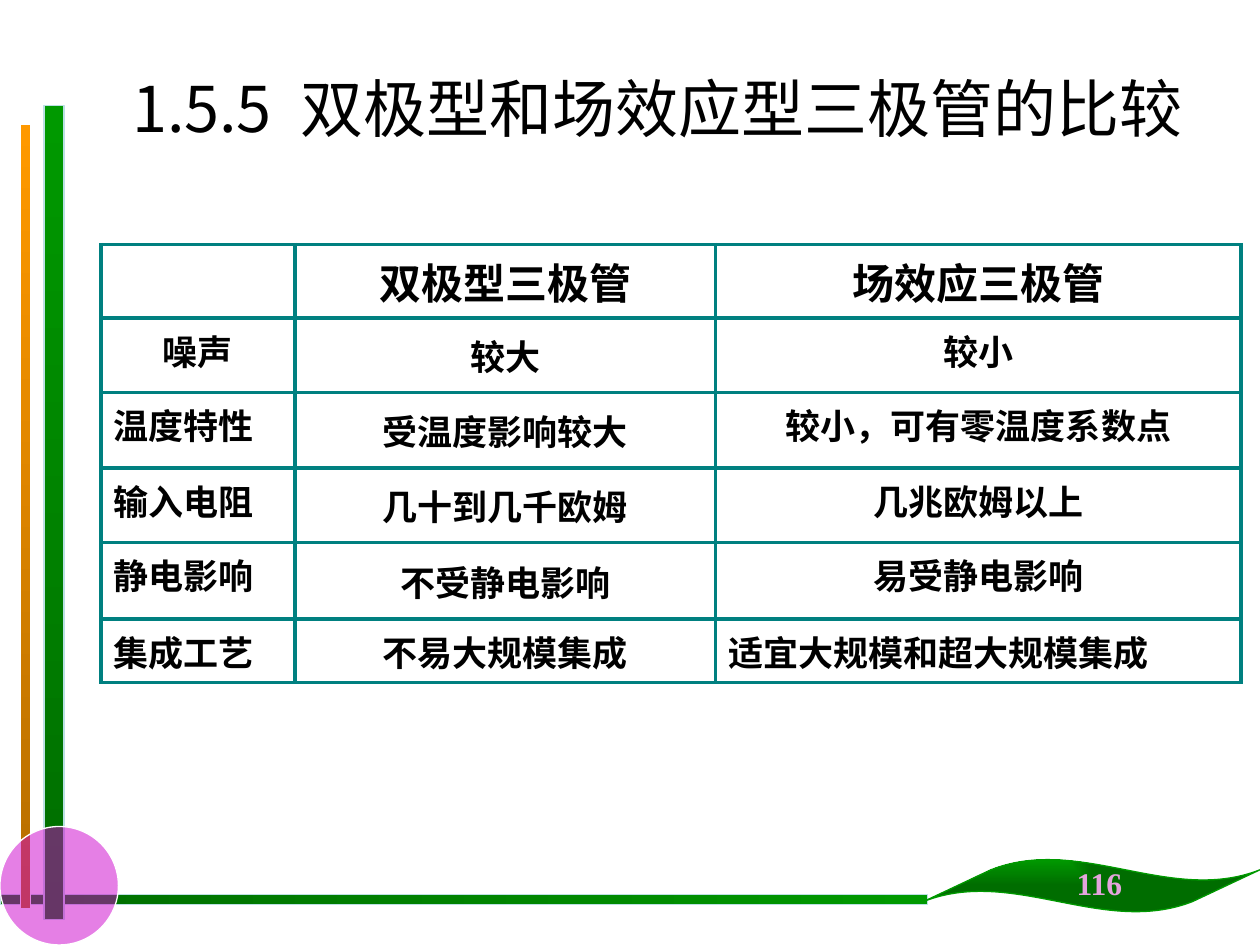
from lxml import etree
from pptx import Presentation
from pptx.dml.color import RGBColor
from pptx.enum.shapes import MSO_SHAPE
from pptx.enum.text import MSO_ANCHOR, PP_ALIGN
from pptx.oxml.ns import qn
from pptx.util import Pt

RECTANGLE, OVAL, WAVE = MSO_SHAPE.RECTANGLE, MSO_SHAPE.OVAL, MSO_SHAPE.WAVE
LEFT, CENTER = PP_ALIGN.LEFT, PP_ALIGN.CENTER
TOP, MIDDLE = MSO_ANCHOR.TOP, MSO_ANCHOR.MIDDLE
CHINESE_FONT = "Noto Sans CJK SC"

COLORS = {
    "text": "000000", "border": "008080", "green": "009900",
    "dark_green": "006D00", "orange": "FF9900", "brown": "B66D00",
    "magenta": "CC00CC", "pale_blue": "BBE0E3", "white": "FFFFFF",
    "number": "E4A4DC",
}
COLUMN_WIDTHS = [110.9, 240.5, 300.2]
ROW_HEIGHTS = [41.3, 42.5, 43.2, 42.5, 43.9, 36]
ROWS = [
    ["", "双极型三极管", "场效应三极管"],
    ["噪声", "较大", "较小"],
    ["温度特性", "受温度影响较大", "较小，可有零温度系数点"],
    ["输入电阻", "几十到几千欧姆", "几兆欧姆以上"],
    ["静电影响", "不受静电影响", "易受静电影响"],
    ["集成工艺", "不易大规模集成", "适宜大规模和超大规模集成"],
]
LEFT_ALIGNED = {(2, 0), (3, 0), (4, 0), (5, 0), (5, 2)}


def color(name):
    return RGBColor.from_string(COLORS[name])


def add_element(parent, tag, **attributes):
    return etree.SubElement(parent, qn(tag), attributes)


def add_outlined_shape(slide, kind, box, line, line_width=0.75):
    shape = slide.shapes.add_shape(kind, *map(Pt, box))
    shape.shadow.inherit = False
    shape.line.color.rgb = color(line)
    shape.line.width = Pt(line_width)
    return shape


def fill_gradient(shape, start, end, angle=0):
    """Blend two colours; the angle runs counter-clockwise."""
    shape.fill.gradient()
    shape.fill.gradient_angle = angle
    for stop, name, position in zip(shape.fill.gradient_stops, (start, end), (0, 1)):
        stop.color.rgb = color(name)
        stop.position = position


def add_bar(slide, box, colors, angle, line="pale_blue", line_width=0.75):
    bar = add_outlined_shape(slide, RECTANGLE, box, line, line_width)
    fill_gradient(bar, *colors, angle)


def add_translucent_circle(slide, box):
    circle = add_outlined_shape(slide, OVAL, box, "white")
    circle.fill.solid()
    circle.fill.fore_color.rgb = color("magenta")
    fill_color = circle.fill._xPr.find(qn("a:solidFill"))[0]
    add_element(fill_color, "a:alpha", val="50000")


def add_leaf(slide, box):
    """Wave whose gradient spreads from its top left corner."""
    leaf = add_outlined_shape(slide, WAVE, box, "green")
    leaf.adjustments[0], leaf.adjustments[1] = 0.206, -0.1
    fill_gradient(leaf, "green", "dark_green")
    gradient = leaf.fill._xPr.find(qn("a:gradFill"))
    linear = gradient.find(qn("a:lin"))
    shade = add_element(gradient, "a:path", path="rect")
    add_element(shade, "a:fillToRect", r="100000", b="100000")
    gradient.replace(linear, shade)


def style_paragraph(paragraph, size, font, bold, alignment, name="text"):
    paragraph.alignment = alignment
    paragraph.font.size = Pt(size)
    paragraph.font.bold = bold
    paragraph.font.name = font
    paragraph.font.color.rgb = color(name)
    add_element(paragraph.font._rPr, "a:ea", typeface=CHINESE_FONT)


def add_text_box(slide, box, wrap):
    frame = slide.shapes.add_textbox(*map(Pt, box)).text_frame
    frame.word_wrap = wrap
    frame.vertical_anchor = MIDDLE
    return frame.paragraphs[0]


def add_title(slide):
    paragraph = add_text_box(slide, (68.4, 36.7, 625, 49), True)
    for text in ("1.5.5", " ", "双极型和场效应型三极管的比较"):
        run = paragraph.add_run()
        run.text = text
        if text == " ":
            run._r.get_or_add_rPr().set("spc", "800")
    style_paragraph(paragraph, 36, CHINESE_FONT, False, LEFT)


def add_slide_number(slide):
    paragraph = add_text_box(slide, (607.7, 490.3, 41, 28.8), False)
    paragraph.text = "116"
    style_paragraph(paragraph, 18, "Times New Roman", True, CENTER, "number")


def add_borders(cell):
    properties = cell._tc.get_or_add_tcPr()
    for index, side in enumerate(("a:lnL", "a:lnR", "a:lnT", "a:lnB")):
        line = etree.Element(qn(side), w=str(Pt(2.25)))
        fill = add_element(line, "a:solidFill")
        add_element(fill, "a:srgbClr", val=COLORS["border"])
        properties.insert(index, line)


def add_comparison_table(slide):
    frame = slide.shapes.add_table(
        len(ROWS), len(COLUMN_WIDTHS), Pt(57.6), Pt(139.7),
        Pt(sum(COLUMN_WIDTHS)), Pt(sum(ROW_HEIGHTS)))
    table = frame.table
    table.first_row = table.horz_banding = False
    for column, width in zip(table.columns, COLUMN_WIDTHS):
        column.width = Pt(width)
    for row, height in zip(table.rows, ROW_HEIGHTS):
        row.height = Pt(height)
    for i, texts in enumerate(ROWS):
        for j, text in enumerate(texts):
            cell = table.cell(i, j)
            cell.fill.background()
            cell.vertical_anchor = MIDDLE if j == 1 else TOP
            add_borders(cell)
            if text:
                paragraph = cell.text_frame.paragraphs[0]
                paragraph.text = text
                alignment = LEFT if (i, j) in LEFT_ALIGNED else CENTER
                style_paragraph(paragraph, 24 if i == 0 else 20, "Arial", True, alignment)


def main():
    presentation = Presentation()
    presentation.slide_width, presentation.slide_height = Pt(720), Pt(540)
    slide = presentation.slides.add_slide(presentation.slide_layouts[6])
    add_bar(slide, (0, 511.2, 530, 5.8), ("dark_green", "green"), 0)
    add_bar(slide, (25.2, 60.5, 11.5, 465), ("green", "dark_green"), 270)
    add_bar(slide, (11.5, 71.3, 5.8, 447.8), ("orange", "brown"), 270, "white", 0.5)
    add_translucent_circle(slide, (0, 472.3, 67.7, 67.7))
    add_leaf(slide, (527.8, 491, 192.2, 30.2))
    add_comparison_table(slide)
    add_title(slide)
    add_slide_number(slide)
    presentation.save("out.pptx")


if __name__ == "__main__":
    main()
